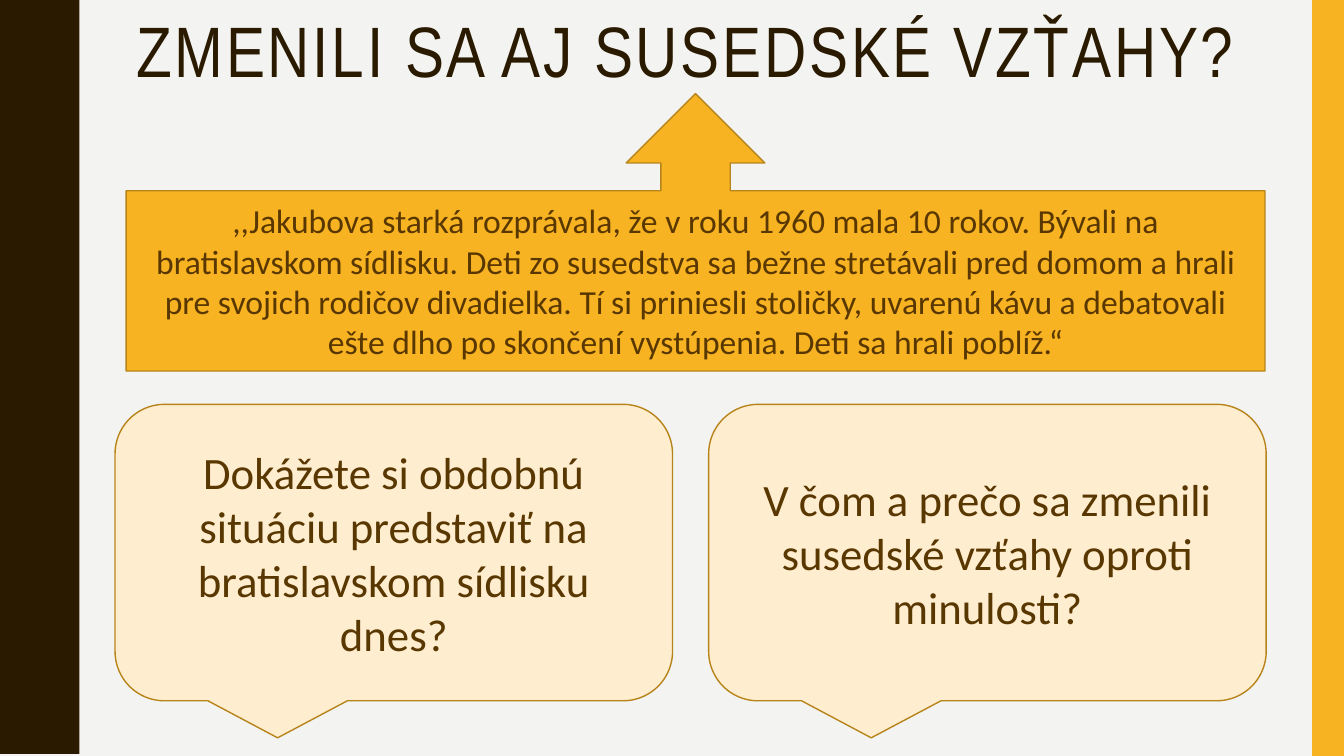
"""Builds the slide on how neighbourly relations have changed."""
import pptx
import pptx.util
import pptx.dml.color
import pptx.enum.shapes
import pptx.enum.text

Cm, Pt = pptx.util.Cm, pptx.util.Pt
SHAPE = pptx.enum.shapes.MSO_SHAPE
ALIGN = pptx.enum.text.PP_ALIGN
ANCHOR = pptx.enum.text.MSO_ANCHOR

TITLE = "ZMENILI SA AJ SUSEDSKÉ VZŤAHY?"
STORY = (
    ",,Jakubova starká rozprávala, že v roku 1960 mala 10 rokov. Bývali na "
    "bratislavskom sídlisku. Deti zo susedstva sa bežne stretávali pred domom a hrali "
    "pre svojich rodičov divadielka. Tí si priniesli stoličky, uvarenú kávu a debatovali "
    "ešte dlho po skončení vystúpenia. Deti sa hrali poblíž.“"
)
QUESTIONS = [
    "Dokážete si obdobnú situáciu predstaviť na bratislavskom sídlisku dnes?",
    "V čom a prečo sa zmenili susedské vzťahy oproti minulosti?",
]
COLORS = {
    "background": "F3F3F2",
    "dark": "2A1A00",
    "gold": "F8B323",
    "cream": "FFEDD0",
    "outline": "B7841A",
    "text": "593700",
}
WIDTH, HEIGHT = 33.87, 19.05
STRIP_WIDTH = 0.8
BUBBLE_LEFT, BUBBLE_STEP = 2.9, 14.96
WAVES = 5
HALF_WAVE = [
    (1.98, 0), (1.98, 0.18), (2.01, 0.36), (2.03, 0.51), (2.06, 0.64),
    (2.11, 0.74), (2.16, 0.84), (2.21, 0.97), (2.26, 1.07), (2.31, 1.17),
    (2.36, 1.27), (2.41, 1.4), (2.44, 1.55), (2.46, 1.73), (2.46, 1.9),
]


def color(name):
    return pptx.dml.color.RGBColor.from_string(COLORS[name])


def paint(shape, fill, line=None):
    shape.shadow.inherit = False
    shape.fill.solid()
    shape.fill.fore_color.rgb = color(fill)
    if line:
        shape.line.color.rgb = color(line)
        shape.line.width = Pt(1)
    else:
        shape.line.fill.background()


def write(shape, text, size, font, ink, align, anchor):
    tf = shape.text_frame
    tf.word_wrap = True
    tf.vertical_anchor = anchor
    p = tf.paragraphs[0]
    p.text = text
    p.alignment = align
    p.font.size = Pt(size)
    p.font.name = font
    p.font.color.rgb = color(ink)
    return p


def add_box(s, kind, box, fill, line=None):
    shape = s.shapes.add_shape(kind, *map(Cm, box))
    paint(shape, fill, line)
    return shape


def add_callout(s, kind, box, fill, text, size):
    shape = add_box(s, kind, box, fill, "outline")
    write(shape, text, size, "Calibri", "text", ALIGN.CENTER, ANCHOR.MIDDLE)


def add_wavy_edge(s):
    period = HEIGHT / WAVES
    wave = HALF_WAVE + [(x, period - y) for x, y in reversed(HALF_WAVE)]
    edge = [(x, y + i * period) for i in range(WAVES) for x, y in wave]
    builder = s.shapes.build_freeform(0, 0, scale=Cm(1))
    builder.add_line_segments(edge + [(0, HEIGHT)], close=True)
    paint(builder.convert_to_shape(), "dark")


def add_title(s):
    box = s.shapes.add_textbox(Cm(3.18), Cm(0.28), Cm(28.27), Cm(4.14))
    box.text_frame.margin_right = 0
    p = write(box, TITLE, 51, "Arial Narrow", "dark", ALIGN.LEFT, ANCHOR.TOP)
    p.line_spacing = 0.9
    p.runs[0].font._element.set("spc", "200")


def main():
    prs = pptx.Presentation()
    prs.slide_width, prs.slide_height = Cm(WIDTH), Cm(HEIGHT)
    s = prs.slides.add_slide(prs.slide_layouts[6])
    s.background.fill.solid()
    s.background.fill.fore_color.rgb = color("background")

    add_wavy_edge(s)
    strip = (WIDTH - STRIP_WIDTH, 0, STRIP_WIDTH, HEIGHT)
    add_box(s, SHAPE.RECTANGLE, strip, "gold")
    add_title(s)
    add_callout(s, SHAPE.UP_ARROW_CALLOUT, (3.18, 2.36, 28.7, 6.99), "gold", STORY, 24)
    for i, question in enumerate(QUESTIONS):
        box = (BUBBLE_LEFT + i * BUBBLE_STEP, 10.19, 14.05, 7.47)
        add_callout(s, SHAPE.ROUNDED_RECTANGULAR_CALLOUT, box, "cream", question, 32)
    prs.save("out.pptx")


if __name__ == "__main__":
    main()
